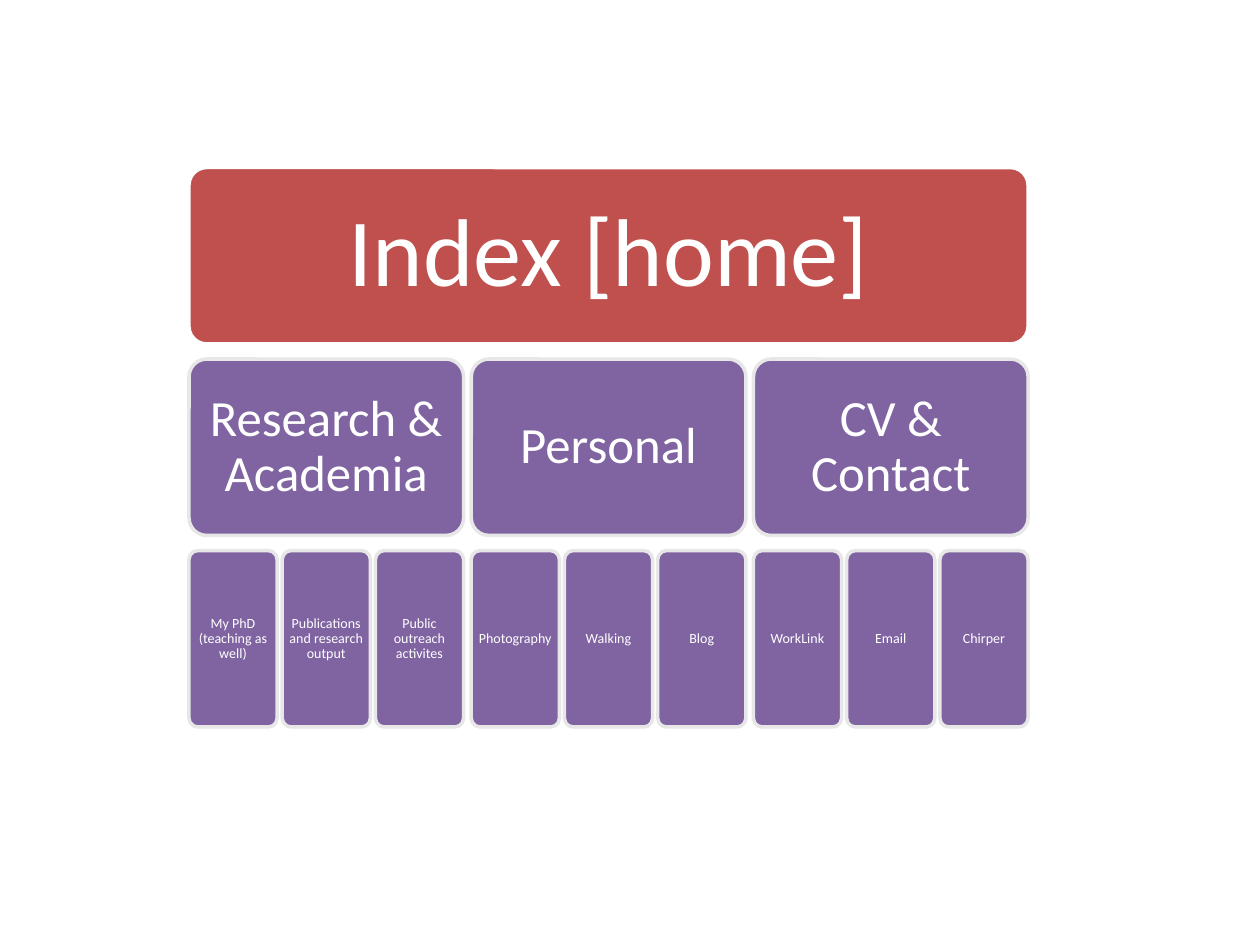
from pptx import Presentation
from pptx.dml.color import RGBColor
from pptx.enum import shapes, text
from pptx.util import Inches, Pt

prs = Presentation()
prs.slide_width, prs.slide_height = Inches(10), Inches(7.5)
s = prs.slides.add_slide(prs.slide_layouts[6])


def rgb(value):
    return RGBColor.from_string(value)


def add_box(label, left, top, width, size, inset, fill="8064A2", line="E7E7E7"):
    sp = s.shapes.add_shape(shapes.MSO_SHAPE.ROUNDED_RECTANGLE, Inches(left),
                            Inches(top), Inches(width), Inches(1.4))
    sp.adjustments[0] = 0.1
    sp.shadow.inherit = False
    sp.fill.solid()
    sp.fill.fore_color.rgb = rgb(fill)
    sp.line.color.rgb = rgb(line)
    sp.line.width = Pt(2)
    tf = sp.text_frame
    tf.word_wrap = True
    tf.vertical_anchor = text.MSO_ANCHOR.MIDDLE
    tf.margin_left = tf.margin_right = Inches(inset)
    tf.margin_top = tf.margin_bottom = Inches(inset)
    tf.text = label
    p = tf.paragraphs[0]
    p.alignment = text.PP_ALIGN.CENTER
    p.line_spacing = 0.9
    font = p.runs[0].font
    font.name = "Calibri"
    font.size = Pt(size)
    font.color.rgb = rgb("FFFFFF")


sections = [
    ("Research & Academia", ["My PhD (teaching as well)",
                             "Publications and research output",
                             "Public outreach activites"]),
    ("Personal", ["Photography", "Walking", "Blog"]),
    ("CV & Contact", ["WorkLink", "Email", "Chirper"]),
]
left, top, row_step = 1.5, 1.33, 1.52
section_step, page_step = 2.24, 0.74

add_box("Index [home]", left, top, 6.66, 55, 0.23, "C0504D", "FFFFFF")
for i, (section, pages) in enumerate(sections):
    x = left + i * section_step
    add_box(section, x, top + row_step, 2.18, 29, 0.12)
    for j, page in enumerate(pages):
        add_box(page, x + j * page_step, top + 2 * row_step, 0.7, 8, 0.03)

prs.save("out.pptx")
